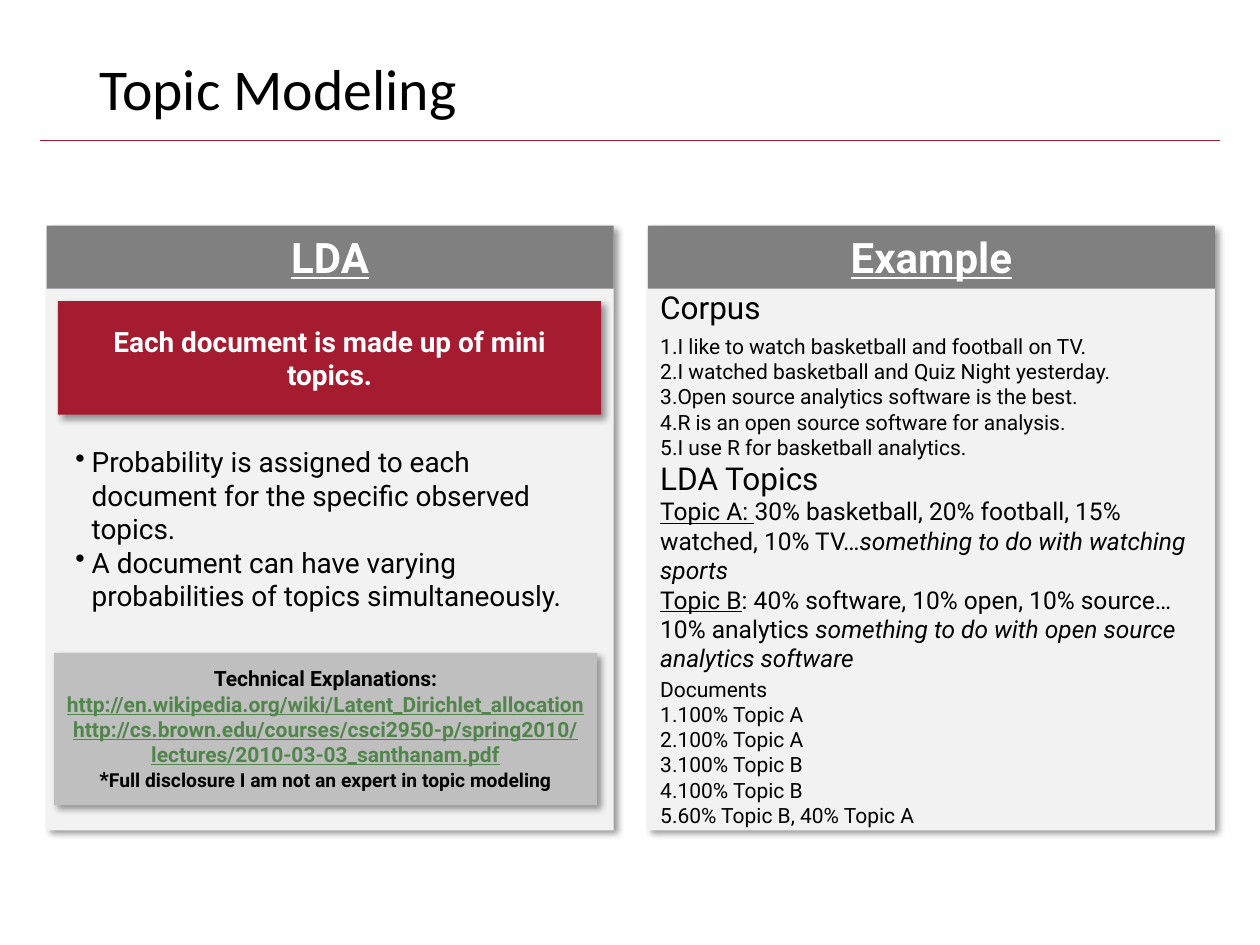
import pptx
import pptx.dml.color
import pptx.enum.shapes
import pptx.enum.text
import pptx.oxml
import pptx.oxml.ns
import pptx.util
from lxml import etree

Cm = pptx.util.Cm
RGB = pptx.dml.color.RGBColor
ALIGN = pptx.enum.text.PP_ALIGN
ANCHOR = pptx.enum.text.MSO_ANCHOR
qn = pptx.oxml.ns.qn

BLACK = RGB(0x00, 0x00, 0x00)
WHITE = RGB(0xFF, 0xFF, 0xFF)
PANEL = RGB(0xF2, 0xF2, 0xF2)
HEADING = RGB(0x80, 0x80, 0x80)
CRIMSON = RGB(0xA5, 0x1C, 0x30)
SILVER = RGB(0xBF, 0xBF, 0xBF)
LINK = RGB(0x52, 0x85, 0x4C)

# Content: a paragraph is a string or a list of (text, run format) pairs
TITLE = "Topic Modeling"
LDA_CLAIM = "Each document is made up of mini topics."
LDA_POINTS = [
    "Probability is assigned to each document for the specific observed topics.",
    "A document can have varying probabilities of topics simultaneously.",
]
LINK_STYLE = {"color": LINK, "underline": True}
EXPLANATIONS = [
    "Technical Explanations:",
    [("http://en.wikipedia.org/wiki/Latent_Dirichlet_allocation", LINK_STYLE)],
    [("http://cs.brown.edu/courses/csci2950-p/spring2010/"
      "lectures/2010-03-03_santhanam.pdf", LINK_STYLE)],
    [("*", {}), ("Full disclosure I am not an expert in topic modeling", {"size": 11})],
]
CORPUS = [
    "I like to watch basketball and football on TV.",
    "I watched basketball and Quiz Night yesterday.",
    "Open source analytics software is the best.",
    "R is an open source software for analysis.",
    "I use R for basketball analytics.",
]
TOPICS = [
    [("Topic A: ", {"underline": True}),
     ("30% basketball, 20% football, 15% watched, 10% TV…", {}),
     ("something to do with watching sports", {"italic": True})],
    [("Topic B", {"underline": True}),
     (": 40% software, 10% open, 10% source…10% analytics ", {}),
     ("something to do with open source analytics software", {"italic": True})],
]
DOCUMENTS = ["100% Topic A", "100% Topic A", "100% Topic B", "100% Topic B",
             "60% Topic B, 40% Topic A"]

# Layout in centimetres
PANEL_TOP, PANEL_WIDTH, PANEL_HEIGHT, HEADING_HEIGHT = 4.55, 11.43, 12.19, 1.27
LDA_LEFT, EXAMPLE_LEFT = 0.94, 13.06
CALLOUT_WIDTH = 10.95

deck = pptx.Presentation()
deck.slide_width, deck.slide_height = Cm(25.4), Cm(19.05)
slide = deck.slides.add_slide(deck.slide_layouts[6])


def add_list_mark(paragraph, mark, indent):
    """Hang a bullet character, or a running number when mark is '1.'."""
    properties = paragraph._p.get_or_add_pPr()
    properties.set("marL", str(Cm(indent)))
    properties.set("indent", str(-Cm(indent)))
    if mark == "1.":
        etree.SubElement(properties, qn("a:buAutoNum"), type="arabicPeriod")
    else:
        etree.SubElement(properties, qn("a:buChar"), char=mark)


def write(shape, paragraphs, size=12, color=BLACK, font="Roboto", bold=False,
          align=ALIGN.LEFT, anchor=ANCHOR.TOP, mark=None, indent=0.3,
          unmarked=0, line_spacing=None, wrap=True):
    """Fill a shape; the first `unmarked` paragraphs get no list mark."""
    frame = shape.text_frame
    frame.word_wrap = wrap
    frame.vertical_anchor = anchor
    for number, content in enumerate(paragraphs):
        paragraph = frame.paragraphs[0] if number == 0 else frame.add_paragraph()
        if mark and number >= unmarked:
            add_list_mark(paragraph, mark, indent)
        paragraph.alignment = align
        if line_spacing:
            paragraph.line_spacing = line_spacing
        for text, style in [(content, {})] if isinstance(content, str) else content:
            run = paragraph.add_run()
            run.text = text
            run.font.name = font
            run.font.size = pptx.util.Pt(style.get("size", size))
            run.font.color.rgb = style.get("color", color)
            run.font.bold = bold
            run.font.italic = style.get("italic", False)
            run.font.underline = style.get("underline", False)


def add_text(left, top, width, height, paragraphs, **text_format):
    box = slide.shapes.add_textbox(Cm(left), Cm(top), Cm(width), Cm(height))
    write(box, paragraphs, **text_format)


def add_block(left, top, width, height, fill, shadow=True):
    block = slide.shapes.add_shape(pptx.enum.shapes.MSO_SHAPE.RECTANGLE,
                                   Cm(left), Cm(top), Cm(width), Cm(height))
    block.fill.solid()
    block.fill.fore_color.rgb = fill
    block.line.fill.background()
    block.shadow.inherit = False
    if shadow:
        effects = block._element.spPr.find(qn("a:effectLst"))
        outer = etree.SubElement(
            effects, qn("a:outerShdw"), blurRad=str(pptx.util.Pt(4)),
            dist=str(pptx.util.Pt(3)), dir="2700000", algn="tl", rotWithShape="0")
        shade = etree.SubElement(outer, qn("a:srgbClr"), val=str(BLACK))
        etree.SubElement(shade, qn("a:alpha"), val="40000")
    return block


# Title and rule
rule = slide.shapes.add_connector(pptx.enum.shapes.MSO_CONNECTOR.STRAIGHT,
                                  Cm(0.81), Cm(2.84), Cm(24.59), Cm(2.84))
rule.line.color.rgb = CRIMSON
rule.line.width = pptx.util.Pt(0.5)
etree.SubElement(rule._element.spPr, qn("a:effectLst"))
add_text(1.75, 1.02, 21.89, 1.65, [TITLE], size=33, font="Calibri",
         anchor=ANCHOR.MIDDLE, line_spacing=0.9)

# Two panels with headings
for heading, left in [("Example", EXAMPLE_LEFT), ("LDA", LDA_LEFT)]:
    add_block(left, PANEL_TOP, PANEL_WIDTH, PANEL_HEIGHT, PANEL)
    banner = add_block(left, PANEL_TOP, PANEL_WIDTH, HEADING_HEIGHT, HEADING, shadow=False)
    write(banner, [[(heading, {"underline": True})]], size=24, color=WHITE,
          bold=True, align=ALIGN.CENTER, anchor=ANCHOR.MIDDLE)

# LDA panel
add_text(1.27, 8.84, 10.77, 3.68, LDA_POINTS, size=16, mark="•", indent=0.33)
claim = add_block(1.17, 6.07, CALLOUT_WIDTH, 2.29, CRIMSON)
write(claim, [LDA_CLAIM], size=16, color=WHITE, bold=True,
      align=ALIGN.CENTER, anchor=ANCHOR.MIDDLE)
explanations = add_block(1.09, 13.16, CALLOUT_WIDTH, 3.07, SILVER)
write(explanations, EXPLANATIONS, bold=True, align=ALIGN.CENTER, anchor=ANCHOR.MIDDLE)

# Example panel
add_text(EXAMPLE_LEFT, 6.6, 11.38, 2.82, CORPUS, mark="1.")
add_text(EXAMPLE_LEFT, 9.88, PANEL_WIDTH, 4.45, TOPICS, size=14)
add_text(EXAMPLE_LEFT, 5.69, 2.59, 1.02, ["Corpus"], size=18, wrap=False)
add_text(EXAMPLE_LEFT, 9.12, 3.71, 1.02, ["LDA Topics"], size=18, wrap=False)
add_text(EXAMPLE_LEFT, 13.51, PANEL_WIDTH, 3.33, ["Documents"] + DOCUMENTS,
         mark="1.", unmarked=1)

deck.save("out.pptx")
